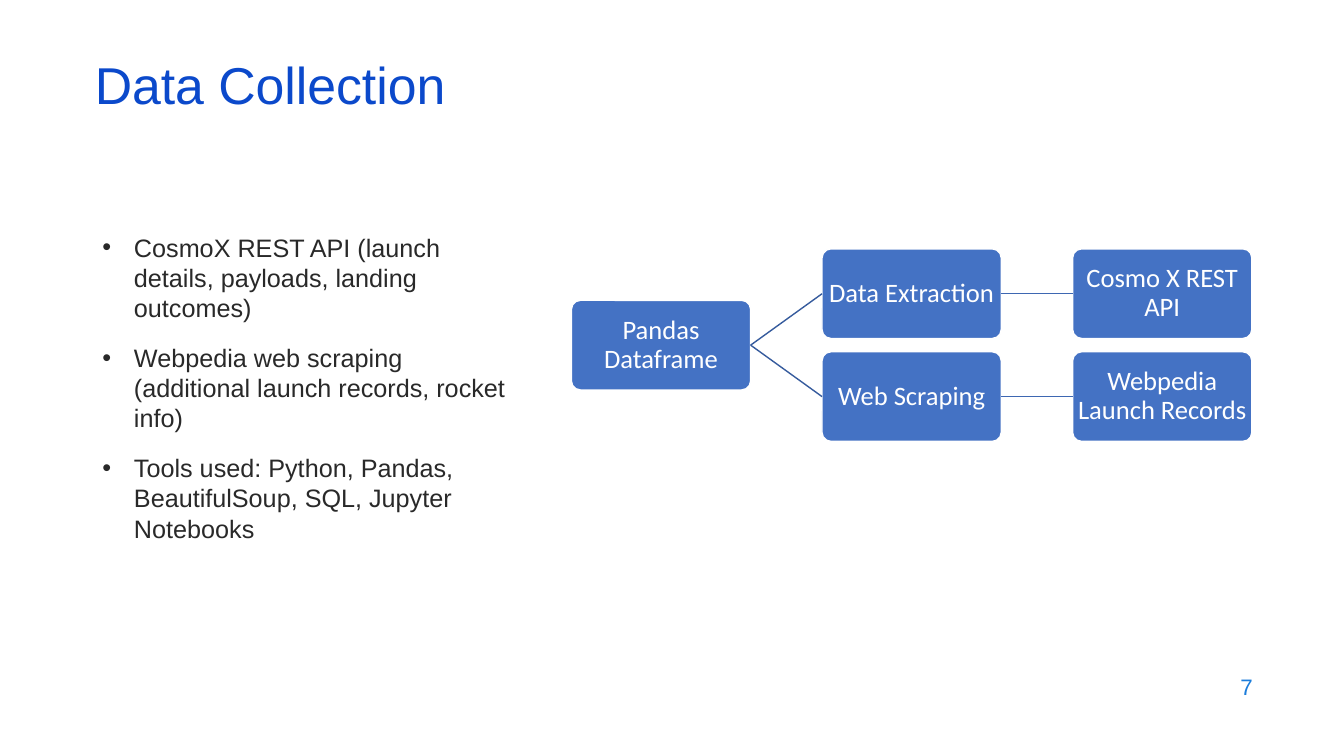
"""Build the Data Collection slide: a bullet list beside a tree of data sources."""
import pptx
import pptx.dml.color
import pptx.enum.shapes
import pptx.enum.text
import pptx.oxml.ns
import pptx.util
from lxml import etree

Pt = pptx.util.Pt
RGB = pptx.dml.color.RGBColor.from_string
ALIGN = pptx.enum.text.PP_ALIGN
MIDDLE = pptx.enum.text.MSO_ANCHOR.MIDDLE
NO_FIT = pptx.enum.text.MSO_AUTO_SIZE.NONE
qn = pptx.oxml.ns.qn

THEME = {
    "title": ("Arial", 37, "0B49CB"),
    "body": ("Arial", 18, "292929"),
    "number": ("Arial", 16, "1C7DDB"),
    "box": ("Calibri", 19, "FFFFFF"),
    "box_fill": "4472C4",
    "box_line": "FFFFFF",
    "branch": "365B9D",
    "leaf": "3E67B2",
}


def add_run(p, text, style):
    r = p.add_run()
    r.text = text
    name, size, color = THEME[style]
    r.font.name, r.font.size = name, Pt(size)
    r.font.color.rgb = RGB(color)


def place(sp, left, top, width, height):
    sp.left, sp.top, sp.width, sp.height = Pt(left), Pt(top), Pt(width), Pt(height)
    tf = sp.text_frame
    tf.word_wrap = True
    tf.auto_size = NO_FIT
    return tf


prs = pptx.Presentation()
prs.slide_width, prs.slide_height = Pt(960), Pt(540)
s = prs.slides.add_slide(prs.slide_layouts[1])

tf = place(s.shapes.title, 60.5, 42.5, 828, 43)
tf.vertical_anchor = MIDDLE
p = tf.paragraphs[0]
p.alignment = ALIGN.LEFT
p.line_spacing = 0.8
add_run(p, "Data Collection", "title")

bullets = [
    "CosmoX REST API (launch details, payloads, landing outcomes)",
    "Webpedia web scraping (additional launch records, rocket info)",
    "Tools used: Python, Pandas, BeautifulSoup, SQL, Jupyter Notebooks",
]
tf = place(s.placeholders[1], 66, 162, 310, 300)
for i, text in enumerate(bullets):
    p = tf.paragraphs[0] if i == 0 else tf.add_paragraph()
    pPr = p._p.get_or_add_pPr()
    pPr.set("marL", str(Pt(22.5)))
    pPr.set("indent", str(-Pt(22.5)))
    etree.SubElement(pPr, qn("a:buFont")).set("typeface", "Arial")
    etree.SubElement(pPr, qn("a:buChar")).set("char", "•")
    p.line_spacing = 1.0
    p.space_before = Pt(14 if i else 0)
    add_run(p, text, "body")

number = s.shapes.add_textbox(0, 0, 0, 0)
tf = place(number, 686, 474.5, 216, 32)
tf.vertical_anchor = MIDDLE
p = tf.paragraphs[0]
p.alignment = ALIGN.RIGHT
add_run(p, "7", "number")

left, top, col_step, row_step = 408.2, 177.8, 179, 73.5
nodes = [
    ("Pandas Dataframe", 0, 0.5, None),
    ("Data Extraction", 1, 0, "Pandas Dataframe"),
    ("Cosmo X REST API", 2, 0, "Data Extraction"),
    ("Web Scraping", 1, 1, "Pandas Dataframe"),
    ("Webpedia Launch Records", 2, 1, "Web Scraping"),
]
boxes = {}
for text, col, row, parent in nodes:
    sp = s.shapes.add_shape(pptx.enum.shapes.MSO_SHAPE.ROUNDED_RECTANGLE, 0, 0, 0, 0)
    tf = place(sp, left + col * col_step, top + row * row_step, 128, 64)
    sp.adjustments[0] = 0.1
    sp.shadow.inherit = False
    sp.fill.solid()
    sp.fill.fore_color.rgb = RGB(THEME["box_fill"])
    sp.line.color.rgb = RGB(THEME["box_line"])
    sp.line.width = Pt(1)
    tf.margin_left = tf.margin_right = tf.margin_top = tf.margin_bottom = Pt(0.7)
    tf.vertical_anchor = MIDDLE
    p = tf.paragraphs[0]
    p.alignment = ALIGN.CENTER
    p.line_spacing = 0.9
    add_run(p, text, "box")
    boxes[text] = sp
    if parent:
        link = s.shapes.add_connector(pptx.enum.shapes.MSO_CONNECTOR.STRAIGHT, 0, 0, 0, 0)
        link.begin_connect(boxes[parent], 3)
        link.end_connect(sp, 1)
        link.line.color.rgb = RGB(THEME["branch" if col == 1 else "leaf"])
        link.line.width = Pt(1)
        etree.SubElement(link._element.spPr, qn("a:effectLst"))

prs.save("out.pptx")
